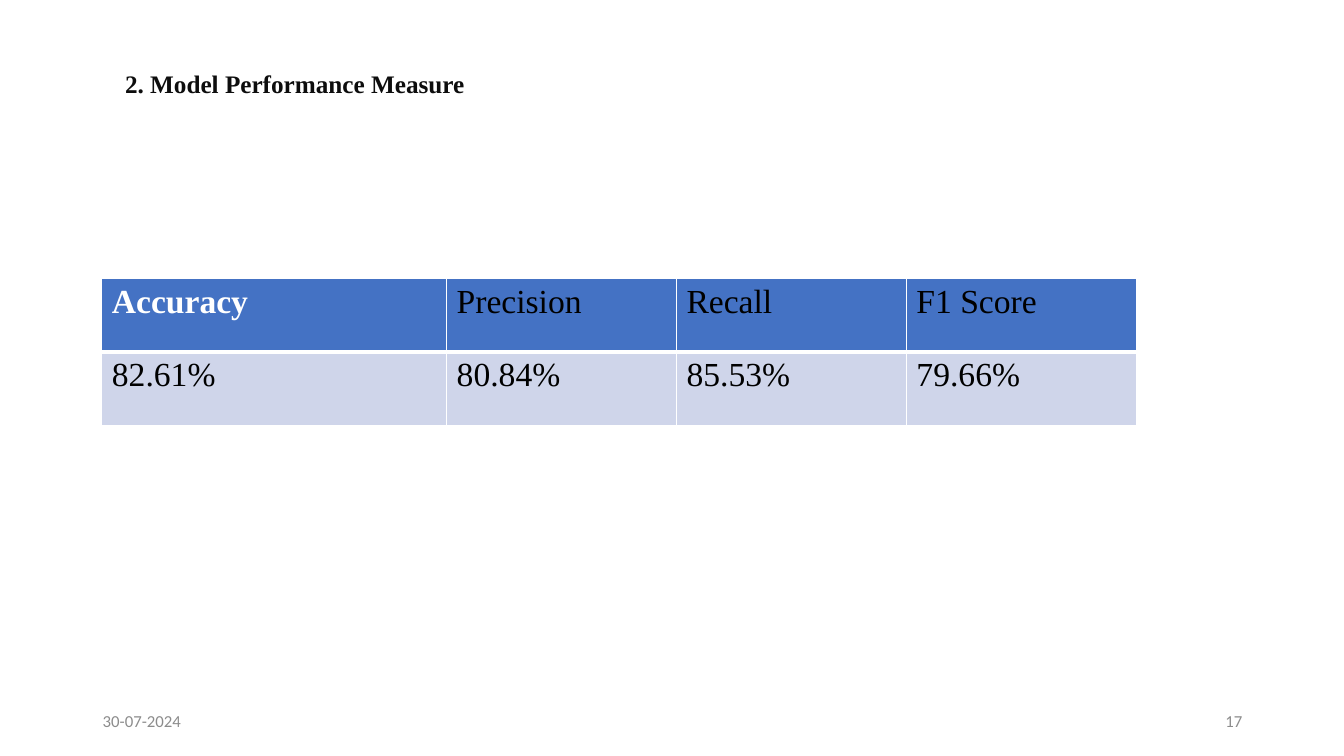
from lxml.etree import SubElement
from pptx import Presentation
from pptx.dml.color import RGBColor
from pptx.enum.text import MSO_ANCHOR, PP_ALIGN
from pptx.oxml.ns import qn
from pptx.util import Inches, Pt


def color(hex_string):
    return RGBColor.from_string(hex_string)


class SlideBuilder:
    serif = "Times New Roman"
    sans = "Calibri"
    black, white, gray = "000000", "FFFFFF", "8C8C8C"
    title_color, header_fill, body_fill = "0D0D0D", "4472C4", "CFD5EA"

    def __init__(self, slide):
        self.slide = slide

    def format_text(self, text_frame, font_name, size, text_color, bold=False):
        for paragraph in text_frame.paragraphs:
            for run in paragraph.runs:
                run.font.name = font_name
                run.font.size = Pt(size)
                run.font.bold = bold
                run.font.color.rgb = color(text_color)

    def text_box(self, text, left, top, width, height):
        shape = self.slide.shapes.add_textbox(
            Inches(left), Inches(top), Inches(width), Inches(height))
        text_frame = shape.text_frame
        text_frame.word_wrap = True
        text_frame.text = text
        return text_frame

    def title(self, text):
        text_frame = self.text_box(text, 0.14, 0.38, 12.27, 1.45)
        text_frame.vertical_anchor = MSO_ANCHOR.TOP
        text_frame.margin_left = Inches(1.1)
        text_frame.margin_top = Inches(0.33)
        text_frame.paragraphs[0].line_spacing = 0.9
        self.format_text(text_frame, self.serif, 18, self.title_color, bold=True)

    def footer(self, text, left, alignment):
        text_frame = self.text_box(text, left, 6.95, 3, 0.4)
        text_frame.vertical_anchor = MSO_ANCHOR.MIDDLE
        text_frame.paragraphs[0].alignment = alignment
        self.format_text(text_frame, self.sans, 12, self.gray)

    def cell_borders(self, cell, top, bottom):
        """Draw white borders; top and bottom are widths in points."""
        properties = cell._tc.get_or_add_tcPr()
        for tag, width in (("lnL", 1), ("lnR", 1), ("lnT", top), ("lnB", bottom)):
            line = SubElement(properties, qn(f"a:{tag}"), w=str(Pt(width)))
            fill = SubElement(line, qn("a:solidFill"))
            SubElement(fill, qn("a:srgbClr"), val=self.white)

    def table(self, rows, left, top, column_widths, row_height):
        table = self.slide.shapes.add_table(
            len(rows), len(column_widths), Inches(left), Inches(top),
            Inches(sum(column_widths)), Inches(row_height * len(rows))).table
        for column, width in zip(table.columns, column_widths):
            column.width = Inches(width)
        for row_index, values in enumerate(rows):
            is_header = row_index == 0
            for column_index, value in enumerate(values):
                cell = table.cell(row_index, column_index)
                cell.text_frame.text = value
                is_lead = is_header and column_index == 0
                self.format_text(cell.text_frame, self.serif, 24,
                                 self.white if is_lead else self.black, bold=is_lead)
                self.cell_borders(cell, top=1 if is_header else 3,
                                  bottom=3 if is_header else 1)
                cell.fill.solid()
                cell.fill.fore_color.rgb = color(
                    self.header_fill if is_header else self.body_fill)


def main():
    presentation = Presentation()
    presentation.slide_width = Inches(13.33)
    presentation.slide_height = Inches(7.5)
    builder = SlideBuilder(presentation.slides.add_slide(presentation.slide_layouts[6]))

    builder.title("2. Model Performance Measure")
    builder.footer("30-07-2024", 0.92, PP_ALIGN.LEFT)
    builder.footer("17", 9.42, PP_ALIGN.RIGHT)
    performance = [
        ["Accuracy", "Precision", "Recall", "F1 Score"],
        ["82.61%", "80.84%", "85.53%", "79.66%"],
    ]
    builder.table(performance, 1.01, 2.76, [3.42, 2.28, 2.28, 2.28], 0.73)

    presentation.save("out.pptx")


if __name__ == "__main__":
    main()
